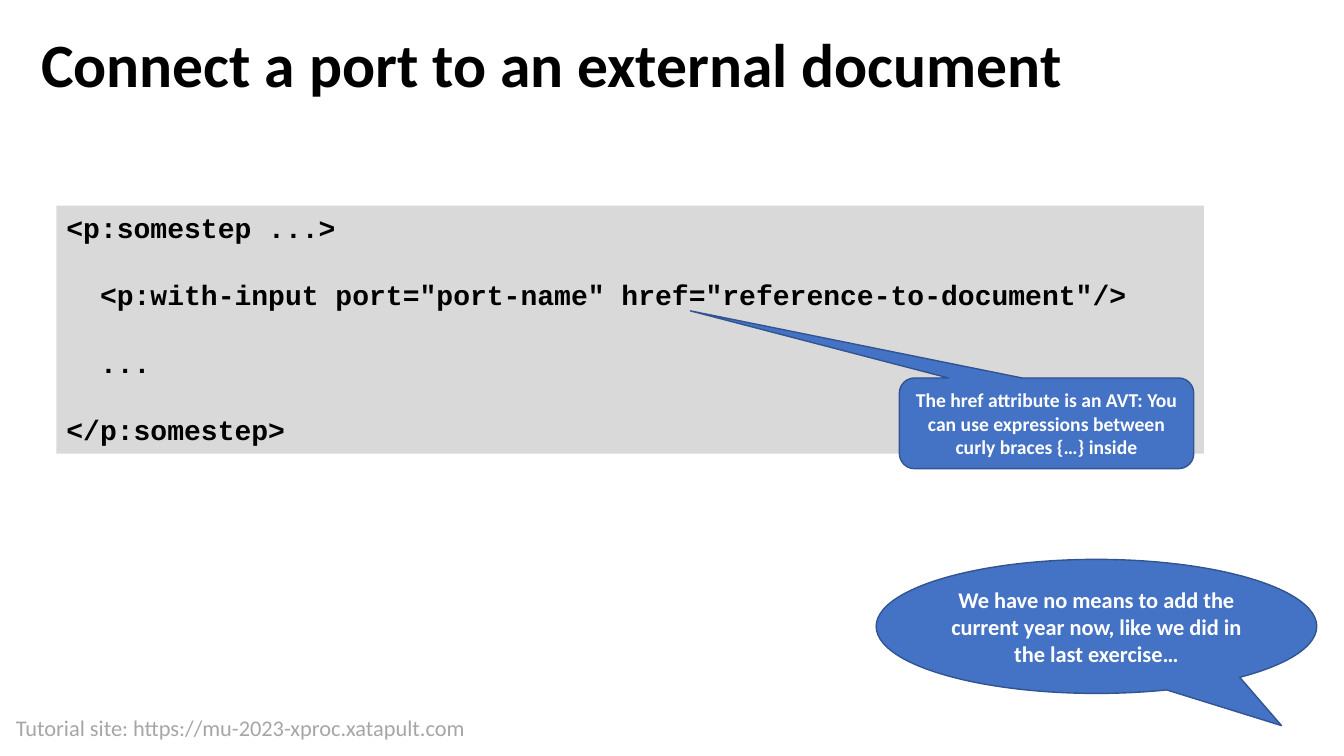
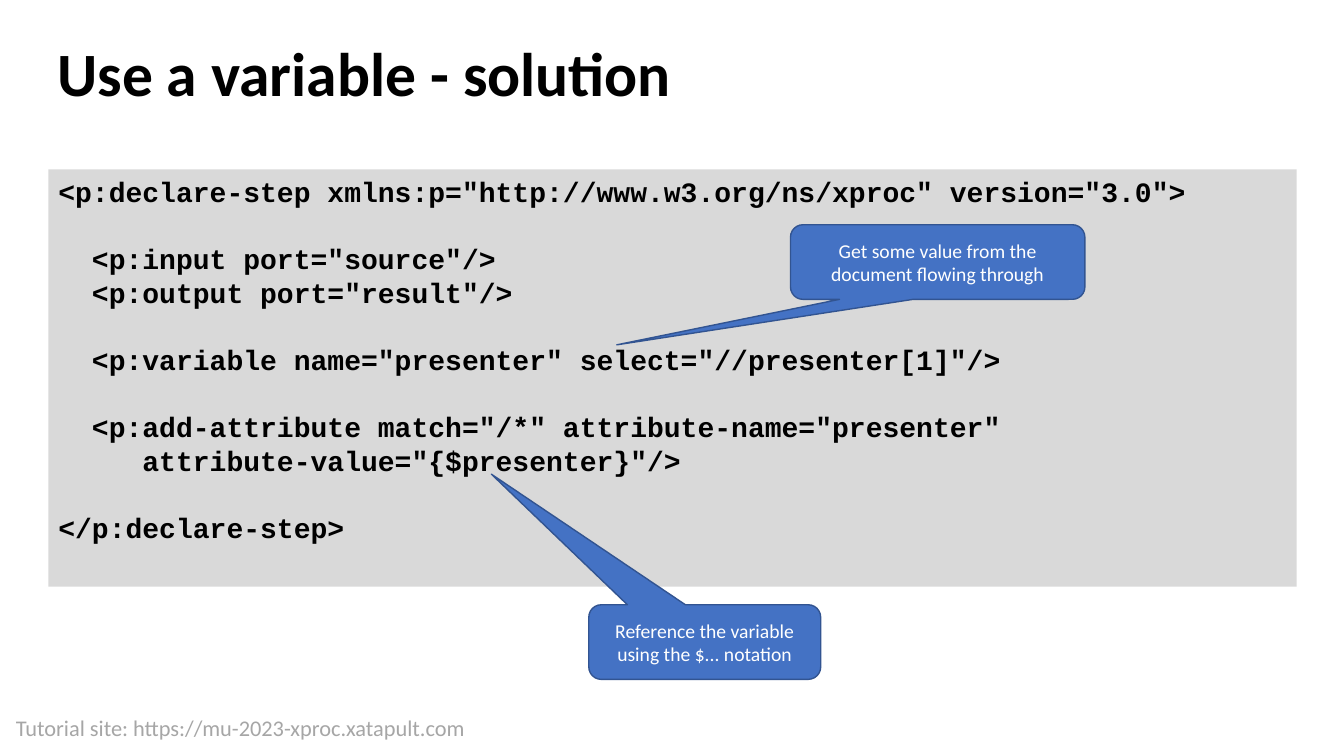
from pptx import Presentation
from pptx.dml.color import RGBColor
from pptx.enum.shapes import MSO_SHAPE
from pptx.enum.text import MSO_ANCHOR, PP_ALIGN
from pptx.util import Inches, Pt

RECT = MSO_SHAPE.RECTANGLE
ROUND = MSO_SHAPE.ROUNDED_RECTANGULAR_CALLOUT
OVAL = MSO_SHAPE.OVAL_CALLOUT
TOP, MIDDLE = MSO_ANCHOR.TOP, MSO_ANCHOR.MIDDLE
LEFT, CENTER = PP_ALIGN.LEFT, PP_ALIGN.CENTER

COLORS = {"ink": "000000", "foot": "A6A6A6", "code": "D9D9D9",
          "note": "4472C4", "edge": "325491", "white": "FFFFFF"}
SANS, MONO = "Calibri", "Courier New"
FOOT = "Tutorial site: https://mu-2023-xproc.xatapult.com"

PORT = """<p:somestep ...>

  <p:with-input port="port-name" href="reference-to-document"/>

  ...

</p:somestep>"""

STEP = """<p:declare-step xmlns:p="http://www.w3.org/ns/xproc" version="3.0">

  <p:input port="source"/>
  <p:output port="result"/>

  <p:variable name="presenter" select="//presenter[1]"/>

  <p:add-attribute match="/*" attribute-name="presenter"
     attribute-value="{$presenter}"/>

</p:declare-step>"""


def color(name):
    return RGBColor.from_string(COLORS[name])


def write(shape, text, size, ink="ink", font=SANS, bold=False,
          align=LEFT, anchor=TOP, lead=None, gap=24):
    frame = shape.text_frame
    frame.word_wrap = True
    frame.vertical_anchor = anchor
    for i, block in enumerate(text.split("\n\n")):
        for j, line in enumerate(block.split("\n")):
            para = frame.add_paragraph() if i or j else frame.paragraphs[0]
            para.alignment = align
            if lead:
                para.line_spacing = lead
            if i and not j:
                para.space_before = Pt(gap)
            run = para.add_run()
            run.text = line
            run.font.name = font
            run.font.size = Pt(size)
            run.font.bold = bold
            run.font.color.rgb = color(ink)


def add_text(slide, spot, text, size, **style):
    box = slide.shapes.add_textbox(*map(Inches, spot))
    write(box, text, size, **style)


def add_form(slide, kind, spot, fill, edge=None):
    shape = slide.shapes.add_shape(kind, *map(Inches, spot))
    shape.shadow.inherit = False
    shape.fill.solid()
    shape.fill.fore_color.rgb = color(fill)
    if edge:
        shape.line.color.rgb = color(edge)
        shape.line.width = Pt(1)
    else:
        shape.line.fill.background()
    return shape


def add_code(slide, spot, text):
    write(add_form(slide, RECT, spot, "code"), text, 20, font=MONO, bold=True)


def add_note(slide, spot, tip, text, kind=ROUND, size=14, bold=False):
    note = add_form(slide, kind, spot, "note", "edge")
    note.adjustments[0], note.adjustments[1] = tip
    write(note, text, size, ink="white", bold=bold, align=CENTER, anchor=MIDDLE)


def add_slide(deck, title, left, top):
    slide = deck.slides.add_slide(deck.slide_layouts[6])
    add_text(slide, (0.06, 7.04, 5.91, 0.37), FOOT, 16, ink="foot")
    add_text(slide, (left, top, 12.71, 0.94), title, 44,
             bold=True, anchor=MIDDLE, lead=0.9)
    return slide


def main():
    deck = Presentation()
    deck.slide_width, deck.slide_height = Inches(13.33), Inches(7.5)

    slide = add_slide(deck, "Connect a port to an external document", 0.31, 0.2)
    add_code(slide, (0.56, 2.04, 11.38, 2.46), PORT)
    add_note(slide, (8.92, 3.75, 2.92, 0.9), (-1.21, -1.24),
             "The href attribute is an AVT: You can use expressions "
             "between curly braces {…} inside", bold=True)
    add_note(slide, (8.69, 5.55, 4.37, 1.33), (0.42, 0.74),
             "We have no means to add the current year now, "
             "like we did in the last exercise…",
             kind=OVAL, size=16, bold=True)

    slide = add_slide(deck, "Use a variable - solution", 0.47, 0.29)
    add_code(slide, (0.48, 1.68, 12.38, 4.14), STEP)
    add_note(slide, (7.84, 2.23, 2.92, 0.74), (-1.09, 1.11),
             "Get some value from the document flowing through")
    add_note(slide, (5.84, 6, 2.3, 0.74), (-0.92, -2.25),
             "Reference the variable using the $... notation")

    deck.save("out.pptx")


if __name__ == "__main__":
    main()
